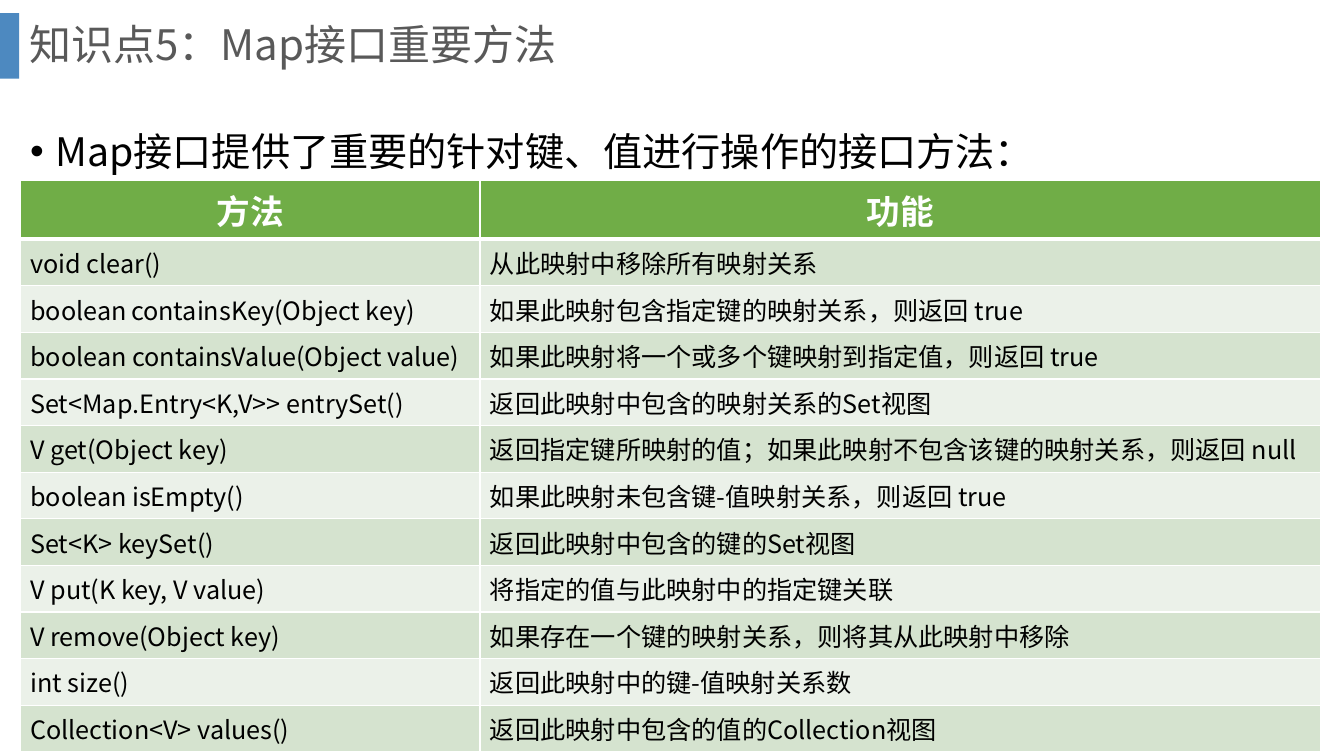
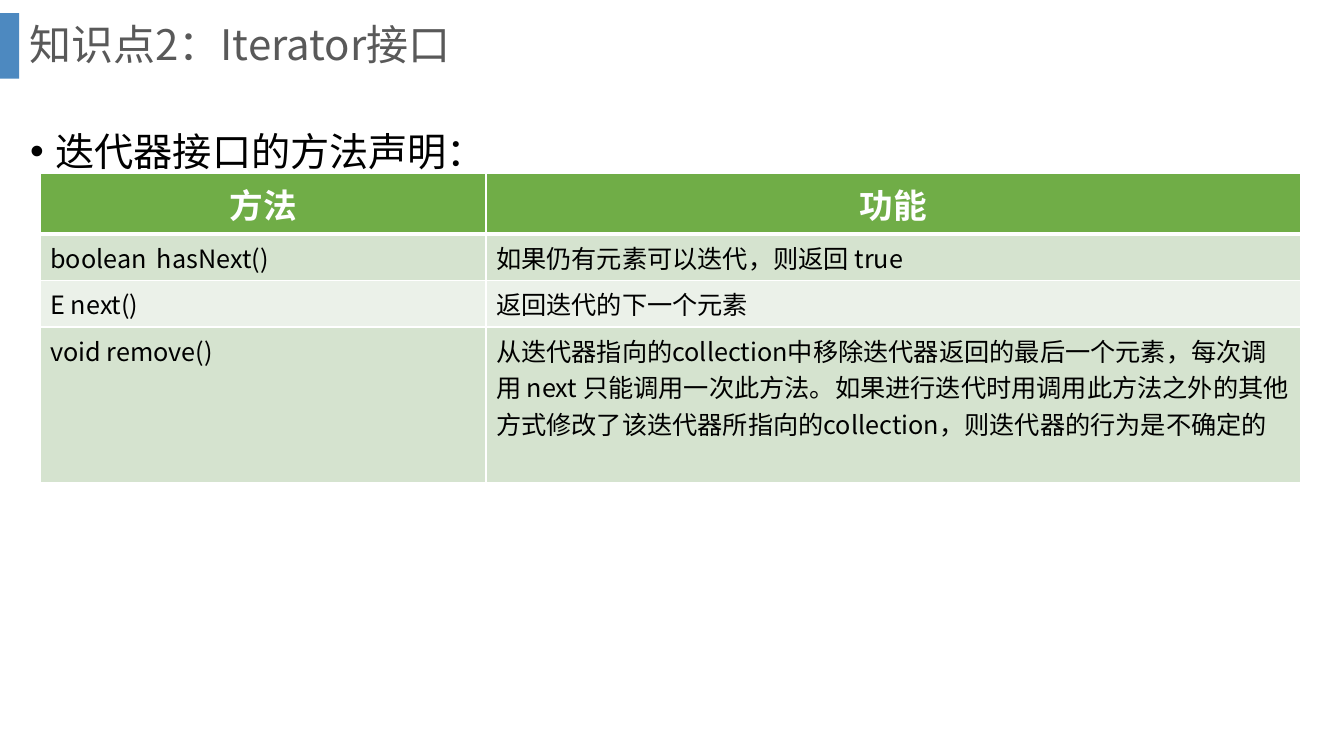
from dataclasses import dataclass

from lxml.etree import SubElement
from pptx import Presentation
from pptx.dml.color import RGBColor
from pptx.enum.shapes import MSO_SHAPE
from pptx.enum.text import MSO_ANCHOR, MSO_AUTO_SIZE, PP_ALIGN
from pptx.oxml import parse_xml
from pptx.oxml.ns import nsdecls, qn
from pptx.slide import Slide, SlideLayout
from pptx.table import _Cell
from pptx.text.text import TextFrame
from pptx.util import Inches, Pt

FONT = "Noto Sans CJK SC"
BLUE = RGBColor(0x2E, 0x75, 0xB6)
GRAY = RGBColor(0x59, 0x59, 0x59)
BLACK = RGBColor(0x00, 0x00, 0x00)
WHITE = RGBColor(0xFF, 0xFF, 0xFF)
GREEN = RGBColor(0x70, 0xAD, 0x47)
BANDS = (RGBColor(0xD5, 0xE3, 0xCF), RGBColor(0xEB, 0xF1, 0xE9))

GRID = Inches(0.1)
PAGE_COLUMNS, PAGE_ROWS = 133.3, 75
BODY_ROW = 4.1
BULLET_INDENT = 2.5


def grid(count: float) -> int:
    return round(count * GRID)


@dataclass(frozen=True)
class Box:
    column: float
    row: float
    columns: float
    rows: float

    def place(self) -> tuple[int, int, int, int]:
        return grid(self.column), grid(self.row), grid(self.columns), grid(self.rows)


@dataclass(frozen=True)
class MethodTable:
    box: Box
    first_column: float
    header_row: float
    entries: tuple[tuple[str, str], ...]


@dataclass(frozen=True)
class Page:
    title: str
    lead: str
    table: MethodTable


BAND_BOX = Box(0, 1.3, 1.9, 6.5)
TITLE_BOX = Box(1.9, 0, 126.6, 9.3)
LEAD_BOX = Box(2, 9.8, 129, 59.6)
HEADINGS = ("方法", "功能")

PAGES = (
    Page(
        "知识点5：Map接口重要方法",
        "Map接口提供了重要的针对键、值进行操作的接口方法：",
        MethodTable(
            Box(2, 17.9, 129, 49.6), 45.6, BODY_ROW,
            (
                ("void clear()", "从此映射中移除所有映射关系"),
                ("boolean\tcontainsKey(Object key)", "如果此映射包含指定键的映射关系，则返回 true"),
                ("boolean containsValue(Object value)", "如果此映射将一个或多个键映射到指定值，则返回 true"),
                ("Set<Map.Entry<K,V>> entrySet()", "返回此映射中包含的映射关系的Set视图"),
                ("V get(Object key)", "返回指定键所映射的值；如果此映射不包含该键的映射关系，则返回 null"),
                ("boolean isEmpty()", "如果此映射未包含键-值映射关系，则返回 true"),
                ("Set<K> keySet()", "返回此映射中包含的键的Set视图"),
                ("V put(K key, V value)", "将指定的值与此映射中的指定键关联"),
                ("V remove(Object key)", "如果存在一个键的映射关系，则将其从此映射中移除"),
                ("int size()", "返回此映射中的键-值映射关系数"),
                ("Collection<V> values()", "返回此映射中包含的值的Collection视图"),
            ),
        ),
    ),
    Page(
        "知识点2：Iterator接口",
        "迭代器接口的方法声明：",
        MethodTable(
            Box(4, 17.2, 125, 27.1), 44.2, 6,
            (
                ("boolean\t hasNext()", "如果仍有元素可以迭代，则返回 true"),
                ("E next()", "返回迭代的下一个元素"),
                (
                    "void remove()",
                    "从迭代器指向的collection中移除迭代器返回的最后一个元素，"
                    "每次调用 next 只能调用一次此方法。"
                    "如果进行迭代时用调用此方法之外的其他方式修改了该迭代器所指向的collection，"
                    "则迭代器的行为是不确定的",
                ),
            ),
        ),
    ),
)


def write_text(
    frame: TextFrame,
    text: str,
    *,
    size: float,
    color: RGBColor,
    bold: bool = False,
    align: PP_ALIGN = PP_ALIGN.LEFT,
    line_spacing: float = 1.0,
    space_before: float = 0,
    bullet: str = "",
) -> None:
    para = frame.paragraphs[0]
    para.alignment = align
    para.line_spacing = line_spacing
    para.space_before = Pt(space_before)
    if bullet:
        properties = para._p.get_or_add_pPr()
        properties.set("marL", str(grid(BULLET_INDENT)))
        properties.set("indent", str(-grid(BULLET_INDENT)))
        SubElement(properties, qn("a:buChar")).set("char", bullet)
    span = para.add_run()
    span.text = text
    span.font.size = Pt(size)
    span.font.bold = bold
    span.font.color.rgb = color
    span.font.name = FONT
    SubElement(span.font._element, qn("a:ea")).set("typeface", FONT)


def set_borders(cell: _Cell, widths: dict[str, float]) -> None:
    properties = cell._tc.get_or_add_tcPr()
    for position, (side, width) in enumerate(widths.items()):
        line = parse_xml(
            f'<a:{side} {nsdecls("a")} w="{Pt(width)}"><a:solidFill>'
            f'<a:srgbClr val="{WHITE}"/></a:solidFill></a:{side}>'
        )
        properties.insert(position, line)


def fill_cell(cell: _Cell, text: str, row: int) -> None:
    cell.fill.solid()
    if row == 0:
        cell.fill.fore_color.rgb = GREEN
        cell.vertical_anchor = MSO_ANCHOR.MIDDLE
        write_text(cell.text_frame, text, size=24, color=WHITE, bold=True, align=PP_ALIGN.CENTER)
        set_borders(cell, {"lnL": 1, "lnR": 1, "lnT": 1, "lnB": 3})
    else:
        cell.fill.fore_color.rgb = BANDS[(row - 1) % len(BANDS)]
        write_text(cell.text_frame, text, size=18, color=BLACK)
        set_borders(cell, {"lnL": 1, "lnR": 1, "lnB": 1})


def draw_table(slide: Slide, content: MethodTable) -> None:
    lines = (HEADINGS, *content.entries)
    table = slide.shapes.add_table(len(lines), len(HEADINGS), *content.box.place()).table
    table.horz_banding = False
    table.columns[0].width = grid(content.first_column)
    table.columns[1].width = grid(content.box.columns - content.first_column)
    for row, texts in enumerate(lines):
        table.rows[row].height = grid(BODY_ROW if row else content.header_row)
        for column, text in enumerate(texts):
            fill_cell(table.cell(row, column), text, row)


def arrange_layout(layout: SlideLayout) -> None:
    for holder, box in zip(layout.placeholders, (TITLE_BOX, LEAD_BOX)):
        holder.left, holder.top, holder.width, holder.height = box.place()


def move_band_to_layout(slide: Slide, layout: SlideLayout) -> None:
    band = slide.shapes.add_shape(MSO_SHAPE.RECTANGLE, *BAND_BOX.place())
    band.shadow.inherit = False
    band.line.fill.background()
    band.fill.solid()
    band.fill.fore_color.rgb = BLUE
    color = band.element.spPr.find(f"{qn('a:solidFill')}/{qn('a:srgbClr')}")
    SubElement(color, qn("a:alpha")).set("val", "85000")
    band.element.nvSpPr.cNvPr.set("id", "20")
    layout.shapes.element.insert(2, band.element)


def draw_page(slide: Slide, page: Page) -> None:
    title, lead = slide.placeholders
    for holder, anchor in ((title, MSO_ANCHOR.MIDDLE), (lead, MSO_ANCHOR.TOP)):
        holder.text_frame.auto_size = MSO_AUTO_SIZE.NONE
        holder.text_frame.vertical_anchor = anchor
    write_text(title.text_frame, page.title, size=30, color=GRAY, line_spacing=0.9)
    write_text(
        lead.text_frame, page.lead, size=28, color=BLACK,
        line_spacing=1.5, space_before=10, bullet="•",
    )
    draw_table(slide, page.table)


def main() -> None:
    deck = Presentation()
    deck.slide_width, deck.slide_height = grid(PAGE_COLUMNS), grid(PAGE_ROWS)
    layout = deck.slide_layouts[1]
    arrange_layout(layout)
    for page in PAGES:
        draw_page(deck.slides.add_slide(layout), page)
    move_band_to_layout(deck.slides[0], layout)
    deck.save("out.pptx")


if __name__ == "__main__":
    main()
